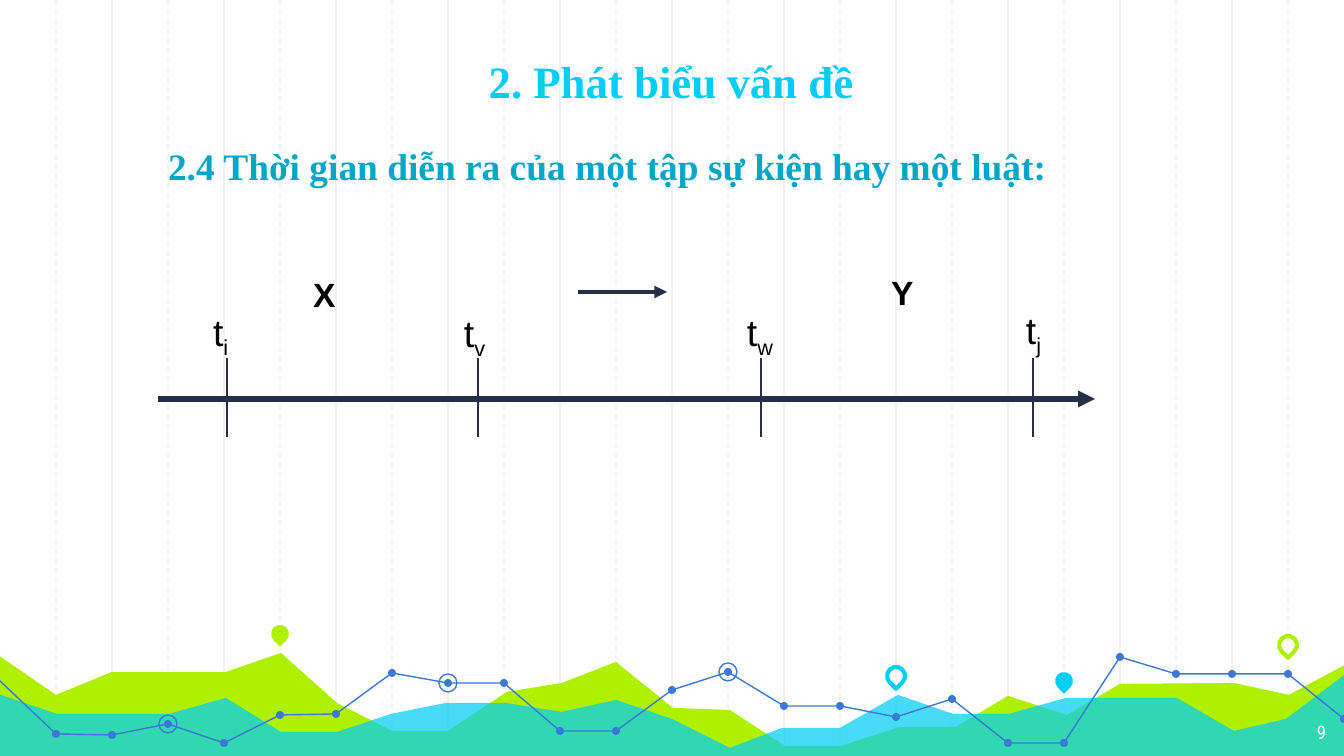
from dataclasses import dataclass
from typing import NamedTuple, Optional

from lxml import etree
from pptx import Presentation
from pptx import slide as sl
from pptx import util as u
from pptx.dml.color import RGBColor
from pptx.enum import dml, shapes, text
from pptx.oxml.ns import qn

WIDTH, HEIGHT, STEP = 1344, 756, 56
SCALE = u.Inches(10) / WIDTH


@dataclass(frozen=True)
class Theme:
    grid: str = "F3F3F3"
    lime: str = "AFF000"
    cyan: str = "00CEF6"
    blue: str = "3C78D8"
    navy: str = "262F48"
    teal: str = "00A7C8"
    black: str = "000000"
    white: str = "FFFFFF"
    serif: str = "Times New Roman"
    sans: str = "Arial"
    condensed: str = "Roboto Condensed"
    title: int = 24
    heading: int = 20
    label: int = 18
    number: int = 10
    hairline: float = 0.75
    medium: float = 2.25
    thick: float = 3


THEME = Theme()


class Line(NamedTuple):
    start: tuple[int, int]
    end: tuple[int, int]
    color: str = THEME.navy
    weight: float = THEME.hairline
    dashed: bool = False
    arrow: bool = False


class Marker(NamedTuple):
    kind: shapes.MSO_SHAPE
    center: tuple[int, int]
    size: int
    color: str
    weight: float = 0
    rotation: int = 0


class Area(NamedTuple):
    points: list[tuple[int, int]]
    color: str
    opacity: int = 100


class Label(NamedTuple):
    box: tuple[int, int, int, int]
    words: str
    size: int
    color: str = THEME.black
    font: str = THEME.sans
    bold: bool = False
    align: text.PP_ALIGN = text.PP_ALIGN.LEFT
    anchor: text.MSO_ANCHOR = text.MSO_ANCHOR.TOP
    inset: int = 7
    subscript: Optional[str] = None


def emu(pixels: int) -> int:
    return round(pixels * SCALE)


def paint(shape, color: str, weight: float = 0) -> None:
    shape.shadow.inherit = False
    if weight:
        shape.fill.background()
        shape.line.width = u.Pt(weight)
        target = shape.line.fill
    else:
        shape.line.fill.background()
        target = shape.fill
    target.solid()
    target.fore_color.rgb = RGBColor.from_string(color)


def draw_line(slide: sl.Slide, line: Line) -> None:
    ends = (emu(value) for value in (*line.start, *line.end))
    connector = slide.shapes.add_connector(shapes.MSO_CONNECTOR.STRAIGHT, *ends)
    connector.line.color.rgb = RGBColor.from_string(line.color)
    connector.line.width = u.Pt(line.weight)
    if line.dashed:
        connector.line.dash_style = dml.MSO_LINE.DASH
    properties = connector._element.spPr
    if line.arrow:
        etree.SubElement(properties.find(qn("a:ln")), qn("a:tailEnd"), type="triangle")
    etree.SubElement(properties, qn("a:effectLst"))


def draw_marker(slide: sl.Slide, marker: Marker) -> None:
    left, top = (emu(value - marker.size // 2) for value in marker.center)
    size = emu(marker.size)
    shape = slide.shapes.add_shape(marker.kind, left, top, size, size)
    shape.rotation = marker.rotation
    paint(shape, marker.color, marker.weight)


def outline(slide: sl.Slide, points: list[tuple[int, int]], close: bool):
    builder = slide.shapes.build_freeform(*points[0], scale=SCALE)
    builder.add_line_segments(points[1:], close=close)
    return builder.convert_to_shape()


def draw_area(slide: sl.Slide, area: Area) -> None:
    bottom = [(WIDTH + 2, HEIGHT + 2), (-4, HEIGHT + 2)]
    shape = outline(slide, area.points + bottom, True)
    paint(shape, area.color)
    if area.opacity < 100:
        color = shape._element.spPr.find(".//" + qn("a:srgbClr"))
        etree.SubElement(color, qn("a:alpha"), val=str(area.opacity * 1000))


def draw_label(slide: sl.Slide, label: Label) -> None:
    frame = slide.shapes.add_textbox(*map(emu, label.box)).text_frame
    frame_format = {
        "word_wrap": True, "vertical_anchor": label.anchor,
        "margin_left": emu(13), "margin_right": emu(13),
        "margin_top": emu(label.inset), "margin_bottom": emu(label.inset),
    }
    for name, value in frame_format.items():
        setattr(frame, name, value)
    paragraph = frame.paragraphs[0]
    paragraph.alignment = label.align
    font_format = {"name": label.font, "size": u.Pt(label.size), "bold": label.bold}
    for words in filter(None, (label.words, label.subscript)):
        run = paragraph.add_run()
        run.text = words
        for name, value in font_format.items():
            setattr(run.font, name, value)
        run.font.color.rgb = RGBColor.from_string(label.color)
    if label.subscript:
        run._r.get_or_add_rPr().set("baseline", "-25000")


LIME_POINTS = [
    (-2, 655), (56, 695), (112, 672), (226, 672), (281, 653), (337, 703), (392, 731),
    (448, 731), (507, 692), (562, 683), (616, 662), (673, 708), (730, 710), (785, 746),
    (841, 746), (900, 727), (956, 727), (1008, 696), (1067, 715), (1120, 684),
    (1234, 683), (1289, 695), (1347, 664),
]
CYAN_POINTS = [
    (-2, 694), (57, 714), (169, 714), (226, 698), (281, 732), (337, 732), (391, 714),
    (446, 703), (505, 703), (562, 712), (616, 700), (672, 719), (730, 748), (782, 728),
    (840, 728), (898, 695), (953, 714), (1009, 714), (1066, 698), (1177, 698),
    (1234, 731), (1286, 719), (1347, 673),
]
TREND_HEIGHTS = [
    734, 735, 724, 743, 715, 714, 673, 683, 683, 731, 731, 690,
    672, 706, 706, 717, 699, 743, 743, 657, 674, 674, 674, 719,
]
TREND = [(STEP * index, y) for index, y in enumerate(TREND_HEIGHTS, 1)]
TREND_PARTS = [[(-1, 680)] + TREND[:10], TREND[9:20], TREND[19:]]
AREAS = [Area(LIME_POINTS, THEME.lime), Area(CYAN_POINTS, THEME.cyan, 72)]
GRID = [
    Line((STEP * index, 0), (STEP * index, HEIGHT), THEME.grid, dashed=first == 1)
    for first in (2, 1) for index in range(first, 24, 2)
]
PINS = [
    Marker(shapes.MSO_SHAPE.TEAR, center, 18, color, weight, 135)
    for center, color, weight in (
        ((280, 634), THEME.lime, 0), ((896, 676), THEME.cyan, THEME.medium),
        ((1064, 681), THEME.cyan, 0), ((1288, 645), THEME.lime, THEME.medium),
    )
]
DOTS = [Marker(shapes.MSO_SHAPE.OVAL, point, 8, THEME.blue) for point in TREND]
RINGS = [
    Marker(shapes.MSO_SHAPE.OVAL, TREND[index], 18, THEME.blue, THEME.hairline)
    for index in (7, 2, 12)
]
TIMELINE = [Line((158, 399), (1095, 399), weight=THEME.thick, arrow=True)]
TIMELINE += [Line((x, 358), (x, 437)) for x in (227, 478, 761, 1033)]
TIMELINE += [Line((578, 292), (667, 292), weight=THEME.medium, arrow=True)]
CENTER, RIGHT = text.PP_ALIGN.CENTER, text.PP_ALIGN.RIGHT
LABELS = [
    Label((157, 16, 1028, 105), "2. Phát biểu vấn đề", THEME.title, THEME.cyan,
          THEME.serif, True, CENTER, text.MSO_ANCHOR.BOTTOM, 13),
    Label((1258, 710, 81, 47), "9", THEME.number, THEME.white,
          THEME.condensed, align=RIGHT, inset=13),
    Label((155, 136, 1078, 59), "2.4 Thời gian diễn ra của một tập sự kiện hay một luật:",
          THEME.heading, THEME.teal, THEME.serif, True),
    Label((289, 267, 71, 54), "X", THEME.label, bold=True, align=CENTER),
    Label((867, 265, 71, 43), "Y", THEME.label, bold=True, align=CENTER),
]
LABELS += [
    Label((x, y, width, 46), "t", THEME.heading, subscript=index)
    for x, y, width, index in (
        (200, 302, 55, "i"), (451, 303, 55, "v"), (734, 302, 71, "w"), (1013, 300, 62, "j"),
    )
]


def main() -> None:
    presentation = Presentation()
    presentation.slide_width, presentation.slide_height = emu(WIDTH), emu(HEIGHT)
    slide = presentation.slides.add_slide(presentation.slide_layouts[6])
    for line in GRID:
        draw_line(slide, line)
    for area in AREAS:
        draw_area(slide, area)
    for part in TREND_PARTS:
        paint(outline(slide, part, False), THEME.blue, THEME.hairline)
    for marker in PINS + DOTS + RINGS:
        draw_marker(slide, marker)
    for line in TIMELINE:
        draw_line(slide, line)
    for label in LABELS:
        draw_label(slide, label)
    presentation.save("out.pptx")


if __name__ == "__main__":
    main()
